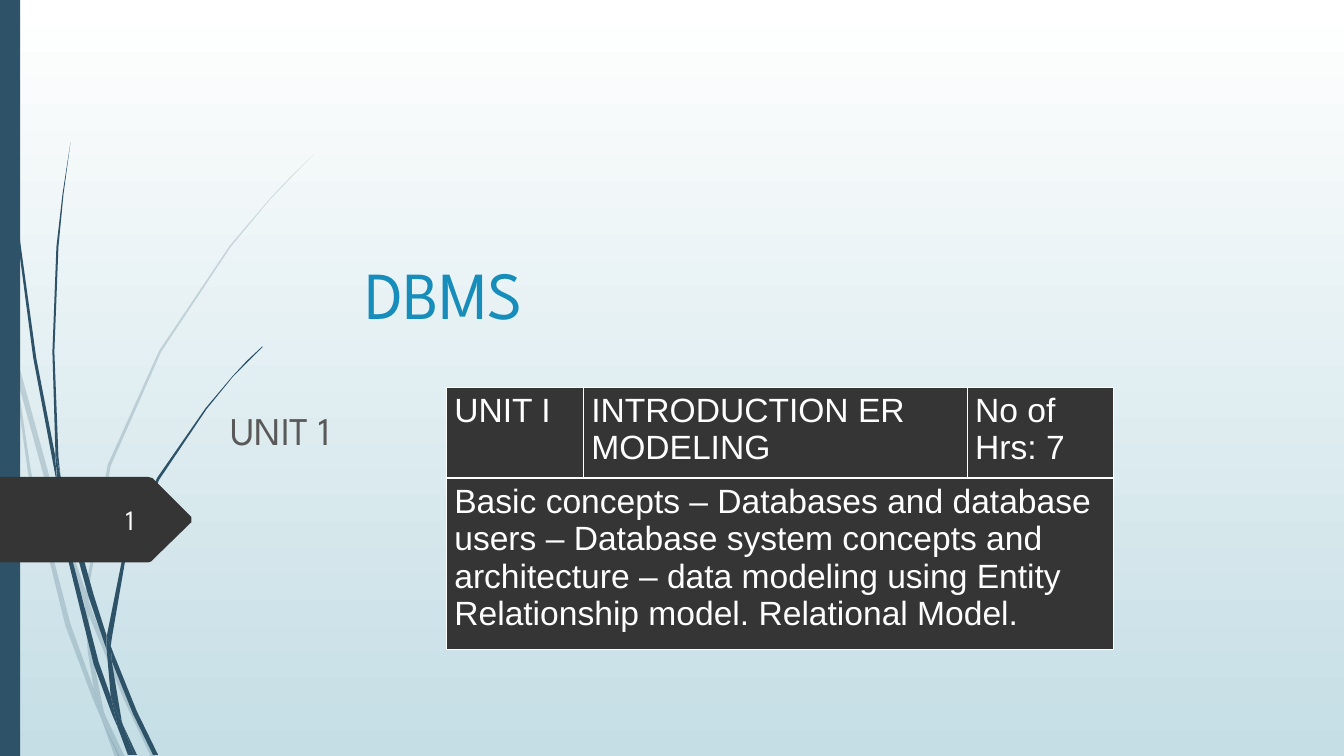
"""Build the opening slide of a database course, on a grid of hundredths of an inch."""
from lxml import etree
from pptx import Presentation
from pptx.dml.color import RGBColor
from pptx.enum.shapes import MSO_SHAPE
from pptx.enum.text import MSO_ANCHOR, PP_ALIGN
from pptx.oxml.ns import qn
from pptx.util import Inches, Pt

RECTANGLE = MSO_SHAPE.RECTANGLE
TOP, MIDDLE, BOTTOM = MSO_ANCHOR.TOP, MSO_ANCHOR.MIDDLE, MSO_ANCHOR.BOTTOM
LEFT, RIGHT = PP_ALIGN.LEFT, PP_ALIGN.RIGHT

WHITE = RGBColor(0xFF, 0xFF, 0xFF)
PALE_BLUE = RGBColor(0xC5, 0xDE, 0xE5)
NAVY = RGBColor(0x2E, 0x53, 0x69)
CHARCOAL = RGBColor(0x35, 0x35, 0x35)
TITLE_BLUE = RGBColor(0x17, 0x8D, 0xBB)
GREY = RGBColor(0x59, 0x59, 0x59)
NUMBER_WHITE = RGBColor(0xFE, 0xFF, 0xFF)

HEADING_FONT, TABLE_FONT = "League Spartan", "Arial"
COLUMNS, ROWS = 1334, 750
THIN, THICK = 0.45, 1.47

FAINT_STEMS = [
    "11,350 8,322 0,282 0,299 10,344",
    "57,522 84,599 85,586 62,520 14,345 17,376",
    "92,607 88,596 88,610 123,694 150,751 155,751 127,692",
    "119,751 124,751 105,711",
    "93,683 70,619 31,469 17,376 11,350 28,470 65,621 92,693 101,714 99,707",
    "84,599 87,646 93,683 96,692 105,711 103,706 91,646 88,610 88,608",
    "88,584 110,462 160,349 229,245 268,198 290,175 312,153 "
    "289,175 268,197 228,244 158,348 107,461 85,584 85,586 88,596",
    "101,714 114,751 119,751",
    "88,608 88,610 88,596 85,586 84,599",
    "96,692 93,683 99,707 101,714 118,751 119,751 105,711",
]
DARK_STEMS = [
    "7,110 17,233 33,355 56,477 57,481 55,457 55,453 36,355 19,232 8,109 5,48 3,0 3,48",
    "88,592 106,645 106,633 106,631 93,590 60,472 64,505",
    "113,649 110,641 111,656 132,708 152,749 157,749 136,706",
    "110,691 98,657 72,556 64,505 57,477 68,557 93,659 111,708 117,722 116,717",
    "60,472 58,453 54,349 58,245 63,193 70,141 62,193 56,245 52,349 55,449 60,471",
    "133,749 136,749 122,719",
    "57,477 64,505 60,472 55,449 55,453",
    "111,633 125,552 158,476 205,406 231,374 246,359 261,344 "
    "260,344 245,358 231,373 204,405 156,474 122,551 106,631 110,641",
    "117,722 127,749 131,749",
    "106,645 110,691 116,706 122,719 121,716 111,656 109,651",
    "106,645 109,651 111,656 110,641 106,631 106,633",
    "116,706 110,691 116,717 117,722 130,749 133,749 122,719",
]
NUMBER_TAB = "147,558 150,557 151,556 190,518 190,513 151,474 150,474 147,473 0,473 0,558"

UNIT_CELLS = ["UNIT I", "INTRODUCTION ER MODELING", "No of Hrs: 7"]
SYLLABUS = (
    "Basic concepts – Databases and database users – Database system concepts and "
    "architecture – data modeling using Entity Relationship model. Relational Model."
)


def grid(cells):
    """Turn a number of grid cells into a length."""
    return Inches(cells / 100)


def paint(shape, color, opacity=100):
    """Fill a shape without line or shadow."""
    shape.shadow.inherit = False
    shape.line.fill.background()
    shape.fill.solid()
    shape.fill.fore_color.rgb = color
    if opacity < 100:
        tint = shape._element.spPr.find(qn("a:solidFill"))[0]
        etree.SubElement(tint, qn("a:alpha"), val=str(opacity * 1000))


def add_outline(slide, outline, color, opacity=100):
    """Draw a closed outline given as grid points."""
    points = [tuple(grid(int(n)) for n in pair.split(",")) for pair in outline.split()]
    builder = slide.shapes.build_freeform(*points[0])
    builder.add_line_segments(points[1:], close=True)
    paint(builder.convert_to_shape(), color, opacity)


def style(paragraph, name, size, color):
    """Set the font of a whole paragraph."""
    paragraph.font.name = name
    paragraph.font.size = Pt(size)
    paragraph.font.color.rgb = color


def add_text(slide, text, box, size, color, anchor=TOP, align=LEFT):
    """Place a one-paragraph text box on the grid."""
    frame = slide.shapes.add_textbox(*map(grid, box)).text_frame
    frame.word_wrap = True
    frame.vertical_anchor = anchor
    paragraph = frame.paragraphs[0]
    paragraph.text = text
    paragraph.alignment = align
    style(paragraph, HEADING_FONT, size, color)


def set_borders(cell, top, bottom):
    """Give a cell white borders, thin at its sides."""
    properties = cell._tc.get_or_add_tcPr()
    widths = {"lnL": THIN, "lnR": THIN, "lnT": top, "lnB": bottom}
    for index, (side, width) in enumerate(widths.items()):
        line = etree.Element(qn(f"a:{side}"), w=str(Pt(width)))
        fill = etree.SubElement(line, qn("a:solidFill"))
        etree.SubElement(fill, qn("a:srgbClr"), val=str(WHITE))
        properties.insert(index, line)


def fill_cell(cell, text, top, bottom):
    """Write and style one table cell."""
    cell.fill.solid()
    cell.fill.fore_color.rgb = CHARCOAL
    cell.margin_left = cell.margin_right = grid(8)
    cell.margin_top = cell.margin_bottom = grid(5)
    cell.text = text
    style(cell.text_frame.paragraphs[0], TABLE_FONT, 24, WHITE)
    set_borders(cell, top, bottom)


def add_unit_table(slide):
    """Add the unit table, its syllabus spanning the second row."""
    table = slide.shapes.add_table(2, 3, *map(grid, (443, 384, 662, 240))).table
    table.first_row = table.horz_banding = False
    for column, width in zip(table.columns, (136, 381, 145)):
        column.width = grid(width)
    for row, height in zip(table.rows, (80, 160)):
        row.height = grid(height)
    table.cell(1, 0).merge(table.cell(1, 2))
    for index, text in enumerate(UNIT_CELLS):
        fill_cell(table.cell(0, index), text, THIN, THICK)
    for index, text in enumerate((SYLLABUS, "", "")):
        fill_cell(table.cell(1, index), text, THICK, THIN)


def set_background(slide):
    """Shade the slide from white down to pale blue."""
    fill = slide.background.fill
    fill.gradient()
    fill.gradient_angle = 270
    for stop, color in zip(fill.gradient_stops, (WHITE, PALE_BLUE)):
        stop.color.rgb = color


def main():
    """Build and save the slide."""
    presentation = Presentation()
    presentation.slide_width, presentation.slide_height = grid(COLUMNS), grid(ROWS)
    slide = presentation.slides.add_slide(presentation.slide_layouts[6])
    set_background(slide)
    for outline in FAINT_STEMS:
        add_outline(slide, outline, NAVY, opacity=20)
    for outline in DARK_STEMS:
        add_outline(slide, outline, NAVY)
    paint(slide.shapes.add_shape(RECTANGLE, 0, 0, grid(20), grid(ROWS)), NAVY)
    add_outline(slide, NUMBER_TAB, CHARCOAL)
    add_text(slide, "DBMS", (353, 88, 975, 247), 48, TITLE_BLUE, anchor=BOTTOM)
    add_text(slide, "UNIT 1", (219, 398, 975, 123), 28, GREY)
    add_text(slide, "1", (58, 495, 85, 40), 20, NUMBER_WHITE, anchor=MIDDLE, align=RIGHT)
    add_unit_table(slide)
    presentation.save("out.pptx")


if __name__ == "__main__":
    main()
